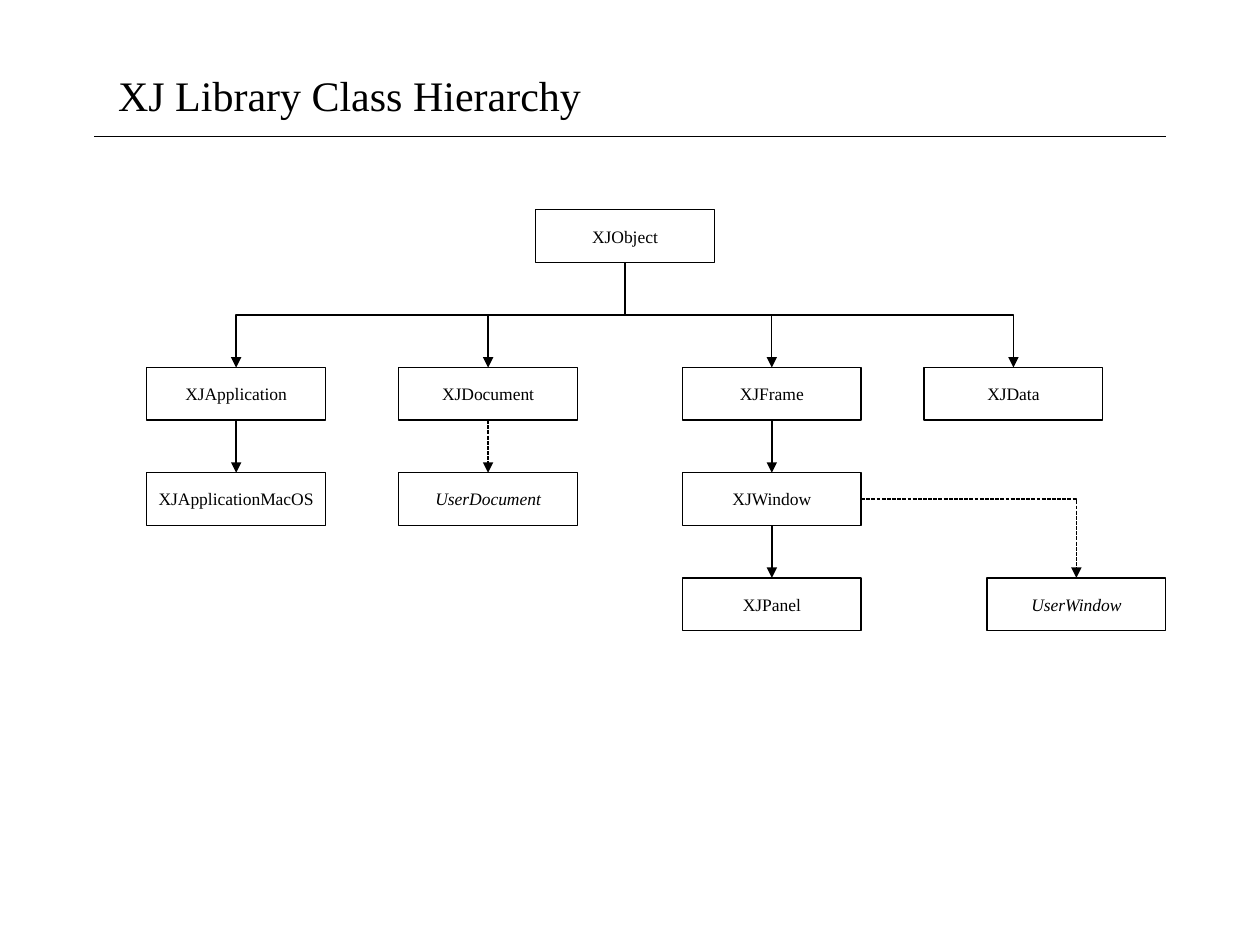
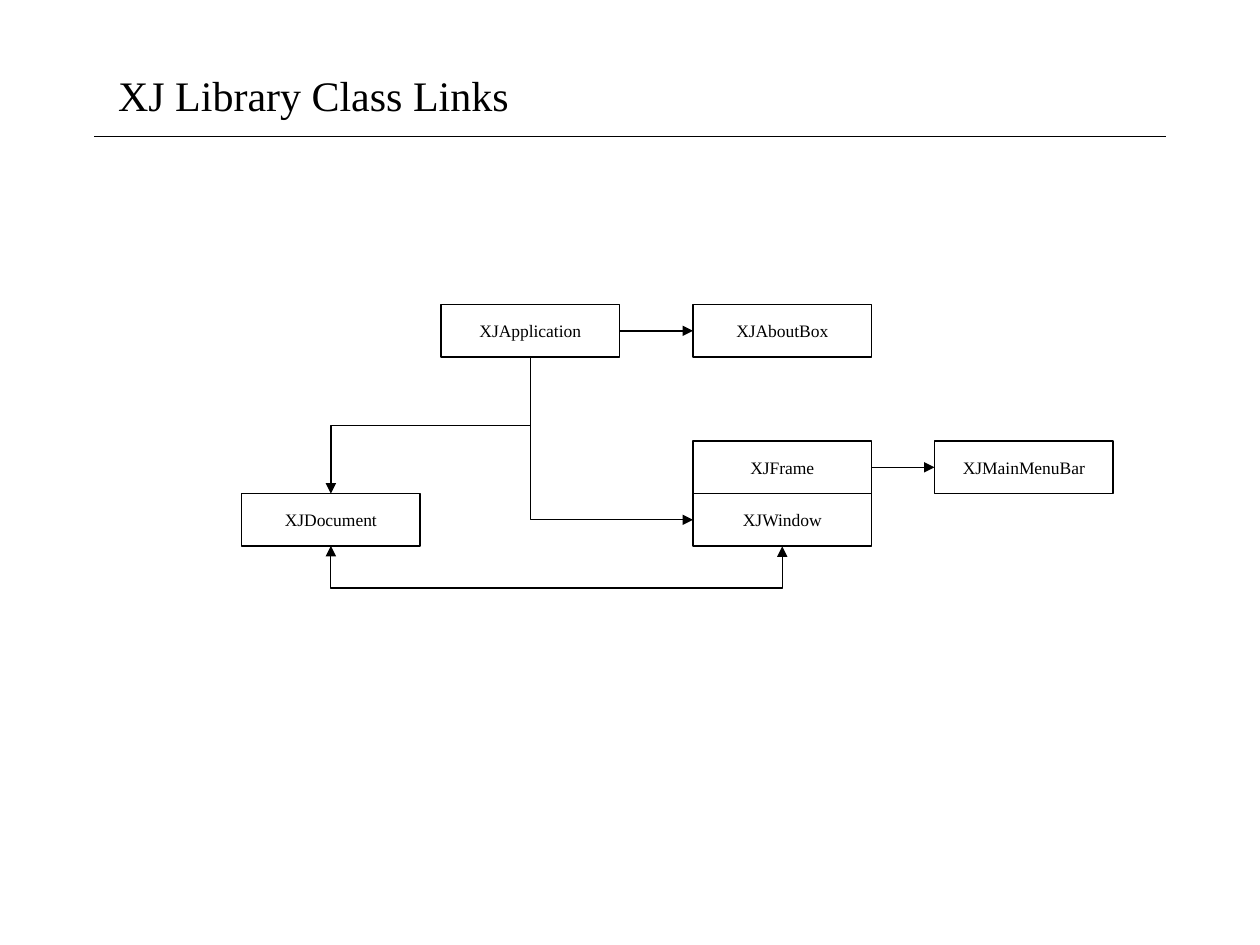
"""Build two slides that chart the classes of the XJ library."""
from lxml.etree import SubElement
from pptx import Presentation
from pptx.dml.color import RGBColor as Rgb
from pptx.enum.dml import MSO_LINE as Dash
from pptx.enum.shapes import MSO_CONNECTOR as Wire, MSO_SHAPE as Kind
from pptx.enum.text import MSO_ANCHOR as Anchor, MSO_AUTO_SIZE as Fit, PP_ALIGN as Align
from pptx.oxml.ns import qn
from pptx.util import Cm, Pt

HUES = {"ink": "000000", "paper": "FFFFFF"}
FACE = "Times New Roman"
WIDE, HIGH = 3.6, 1.06
TOP, STEP = 7.41, 2.12
LOOP = 0.85
ROWS = [TOP + STEP * n for n in range(3)]
COLS = {"app": 2.96, "doc": 8.04, "frame": 13.76}

SLIDES = [
    {
        "title": "XJ Library Class Hierarchy",
        "width": 10,
        "boxes": {
            "XJObject": (10.8, 4.23),
            "XJApplication": (COLS["app"], ROWS[0]),
            "XJApplicationMacOS": (COLS["app"], ROWS[1]),
            "XJDocument": (COLS["doc"], ROWS[0]),
            "UserDocument": (COLS["doc"], ROWS[1]),
            "XJFrame": (COLS["frame"], ROWS[0]),
            "XJWindow": (COLS["frame"], ROWS[1]),
            "XJPanel": (COLS["frame"], ROWS[2]),
            "XJData": (18.63, ROWS[0]),
            "UserWindow": (19.9, ROWS[2]),
        },
        "links": [
            ("XJObject", "XJApplication", "fork"),
            ("XJObject", "XJDocument", "fork"),
            ("XJObject", "XJFrame", "fork"),
            ("XJObject", "XJData", "fork"),
            ("XJApplication", "XJApplicationMacOS", "down"),
            ("XJDocument", "UserDocument", "down"),
            ("XJFrame", "XJWindow", "down"),
            ("XJWindow", "XJPanel", "down"),
            ("XJWindow", "UserWindow", "turn"),
        ],
    },
    {
        "title": "XJ Library Class Links",
        "width": 8.5,
        "boxes": {
            "XJApplication": (8.89, 6.14),
            "XJAboutBox": (13.97, 6.14),
            "XJFrame": (13.97, 8.89),
            "XJWindow": (13.97, 8.89 + HIGH),
            "XJMainMenuBar": (18.84, 8.89),
            "XJDocument": (4.87, 8.89 + HIGH),
        },
        "links": [
            ("XJApplication", "XJAboutBox", "side"),
            ("XJApplication", "XJWindow", "drop"),
            ("XJApplication", "XJDocument", "fork"),
            ("XJFrame", "XJMainMenuBar", "side"),
            ("XJDocument", "XJWindow", "loop"),
        ],
    },
]

SITES = {0: (0.5, 0), 1: (0, 0.5), 2: (0.5, 1), 3: (1, 0.5)}
ROUTES = {
    "down": (2, 0, None),
    "side": (3, 1, None),
    "fork": (2, 0, "bentConnector3"),
    "loop": (2, 2, "bentConnector3"),
    "drop": (2, 1, "bentConnector2"),
    "turn": (3, 0, "bentConnector2"),
}


def is_user(name):
    return name.startswith("User")


def write(shape, text, size, align, italic=False):
    frame = shape.text_frame
    frame.word_wrap = False
    frame.vertical_anchor = Anchor.MIDDLE
    para = frame.paragraphs[0]
    para.alignment = align
    run = para.add_run()
    run.text = text
    for key, value in {"name": FACE, "size": Pt(size), "italic": italic}.items():
        setattr(run.font, key, value)
    run.font.color.rgb = Rgb.from_string(HUES["ink"])


def ink(shape):
    shape.line.color.rgb = Rgb.from_string(HUES["ink"])
    shape.line.width = Pt(0.75)


def add_line(slide, kind, start, end):
    line = slide.shapes.add_connector(kind, *(Cm(n) for n in (*start, *end)))
    ink(line)
    SubElement(line._element.spPr, qn("a:effectLst"))
    return line


def add_box(slide, name, spot):
    box = slide.shapes.add_shape(Kind.RECTANGLE, *(Cm(n) for n in (*spot, WIDE, HIGH)))
    box.shadow.inherit = False
    box.fill.background()
    ink(box)
    write(box, name, 10, Align.CENTER, is_user(name))
    return box


def bend(line, preset, start, end, upright, loop):
    geom = line._element.spPr.find(qn("a:prstGeom"))
    geom.set("prst", preset)
    if not upright:
        return
    (x1, y1), (x2, y2) = start, end
    run, rise = max(y2 - y1, 0.01), abs(x2 - x1)
    place = {
        "left": (x1 + x2 - run) / 2,
        "top": (y1 + y2 - rise) / 2,
        "width": run,
        "height": rise,
    }
    for key, value in place.items():
        setattr(line, key, Cm(value))
    right = x2 > x1
    form = line._element.spPr.find(qn("a:xfrm"))
    form.set("rot", str((270 if right else 90) * 60000))
    form.set("flipH", str(int(right)))
    if loop:
        share = round(LOOP / run * 100000)
        guides = geom.find(qn("a:avLst"))
        SubElement(guides, qn("a:gd"), name="adj1", fmla=f"val {share}")


def add_link(slide, boxes, spots, source, target, route):
    out, into, preset = ROUTES[route]
    start, end = (
        (spots[name][0] + WIDE * SITES[site][0], spots[name][1] + HIGH * SITES[site][1])
        for name, site in ((source, out), (target, into))
    )
    line = add_line(slide, Wire.ELBOW if preset else Wire.STRAIGHT, start, end)
    if preset:
        bend(line, preset, start, end, out == 2, route == "loop")
    else:
        line.begin_connect(boxes[source], out)
        line.end_connect(boxes[target], into)
    if is_user(target):
        line.line.dash_style = Dash.SQUARE_DOT
    stroke = line._element.spPr.get_or_add_ln()
    for tip in ("headEnd", "tailEnd") if route == "loop" else ("tailEnd",):
        SubElement(stroke, qn(f"a:{tip}"), type="triangle")


def add_slide(deck, page):
    slide = deck.slides.add_slide(deck.slide_layouts[6])
    back = slide.background.fill
    back.solid()
    back.fore_color.rgb = Rgb.from_string(HUES["paper"])
    title = slide.shapes.add_textbox(Cm(2.13), Cm(1.27), Cm(page["width"]), Cm(1.27))
    write(title, page["title"], 24, Align.LEFT)
    title.text_frame.auto_size = Fit.SHAPE_TO_FIT_TEXT
    add_line(slide, Wire.STRAIGHT, (1.9, 2.75), (23.5, 2.75))
    spots = page["boxes"]
    boxes = {name: add_box(slide, name, spot) for name, spot in spots.items()}
    for link in page["links"]:
        add_link(slide, boxes, spots, *link)


def main():
    deck = Presentation()
    deck.slide_width, deck.slide_height = Cm(25.4), Cm(19.05)
    for page in SLIDES:
        add_slide(deck, page)
    deck.save("out.pptx")


if __name__ == "__main__":
    main()
